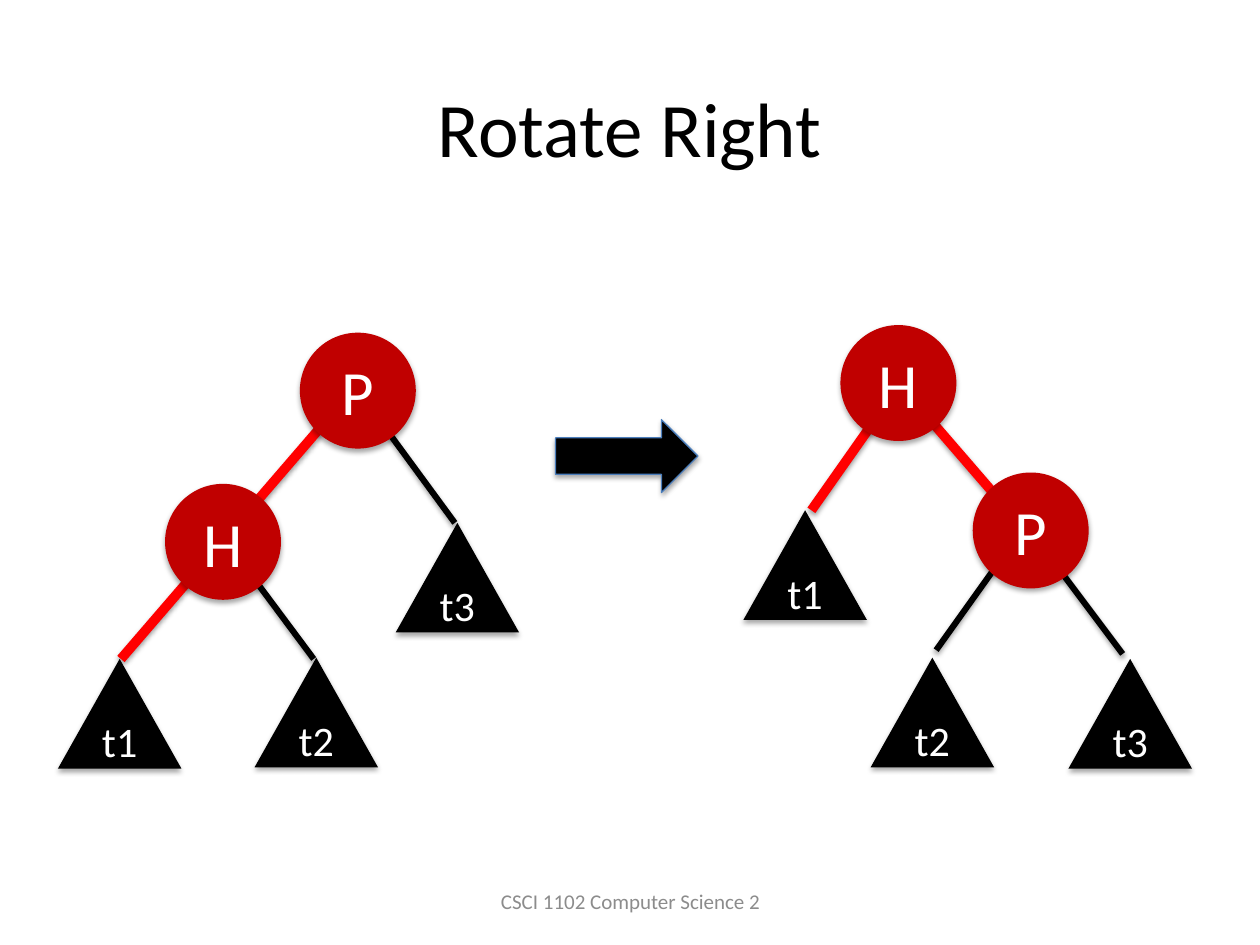
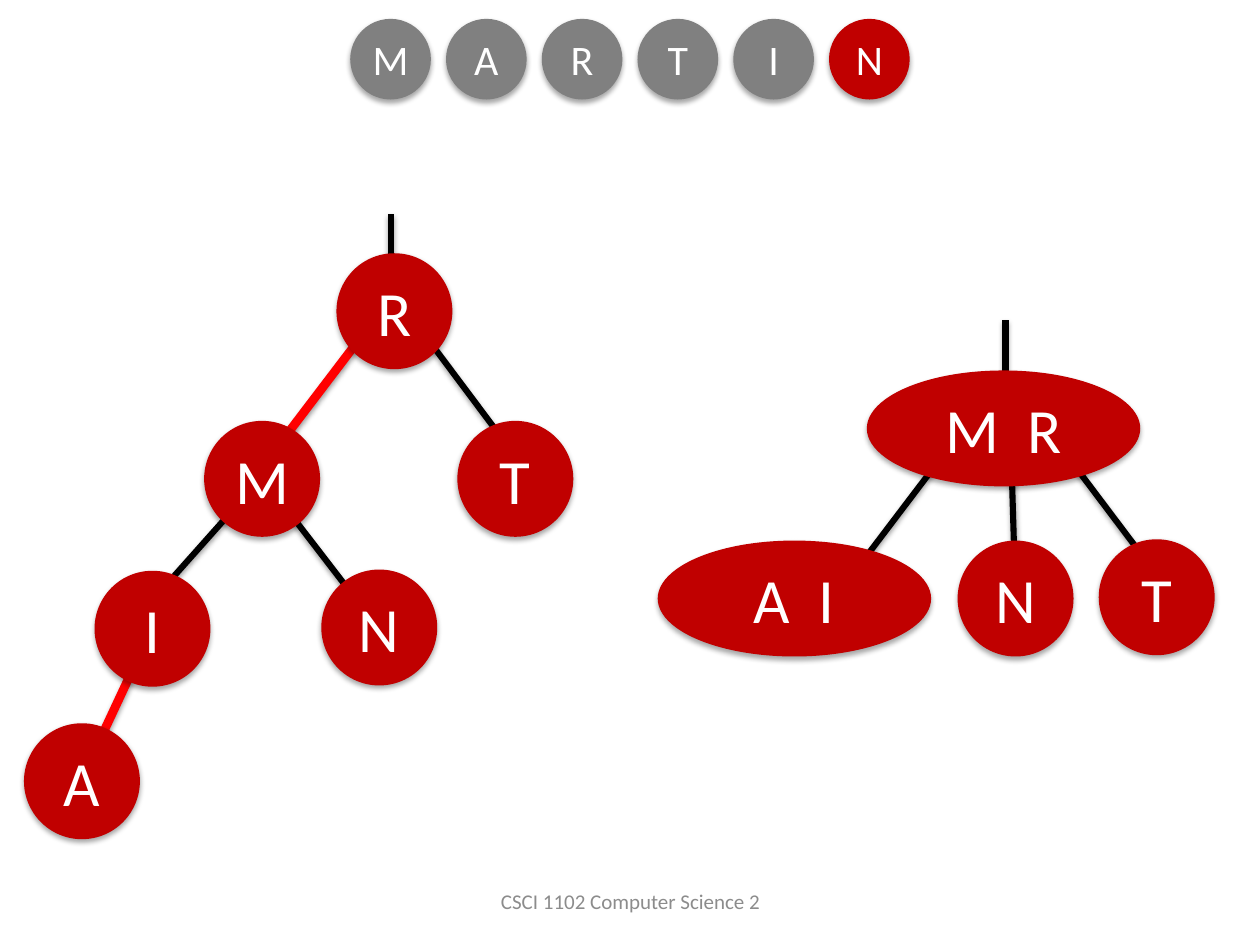
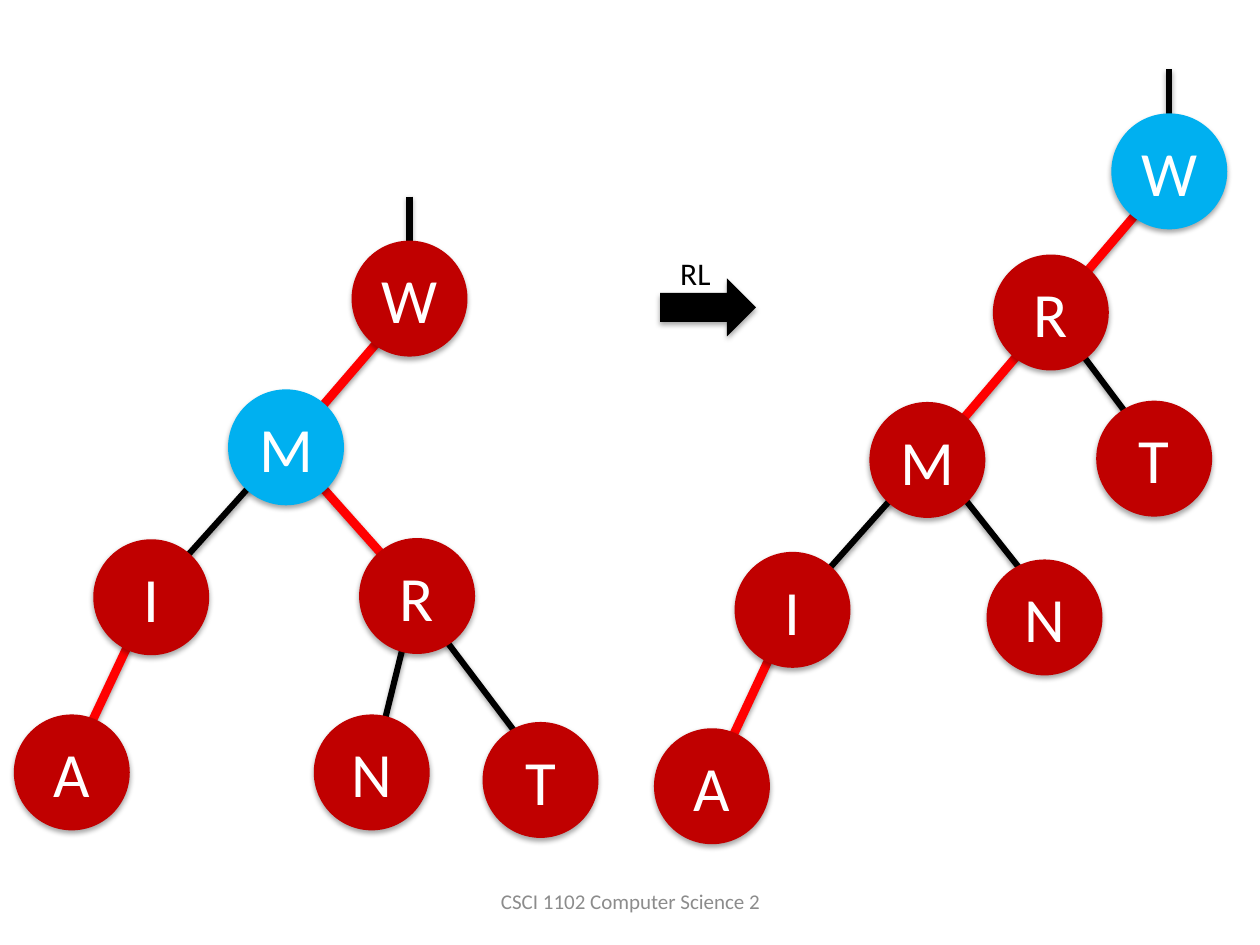
from lxml import etree
from pptx import Presentation
from pptx.dml.color import RGBColor
from pptx.enum import shapes, text
from pptx.oxml import ns
from pptx.util import Inches, Pt

BLACK = RGBColor(0x00, 0x00, 0x00)
WHITE = RGBColor(0xFF, 0xFF, 0xFF)
NODE = RGBColor(0xC0, 0x00, 0x00)
HOT = RGBColor(0x00, 0xB0, 0xF0)
DONE = RGBColor(0x80, 0x80, 0x80)
LINK = RGBColor(0xFF, 0x00, 0x00)
RIM = RGBColor(0x4B, 0x7E, 0xBC)
FOOT = RGBColor(0x8C, 0x8C, 0x8C)

FONT = "Calibri"
KIND = shapes.MSO_SHAPE
DISC = 0.92
PAIR = 2.17


# Shared parts
def shade(item, alpha, dist):
    """Soft shadow straight below; call once fill and line are set."""
    cast = etree.SubElement(item._element.spPr, ns.qn("a:effectLst"))
    drop = etree.SubElement(cast, ns.qn("a:outerShdw"), blurRad=str(Pt(3.1)),
                            dist=str(Pt(dist)), dir="5400000", rotWithShape="0")
    tone = etree.SubElement(drop, ns.qn("a:srgbClr"), val=str(BLACK))
    etree.SubElement(tone, ns.qn("a:alpha"), val=str(alpha * 1000))


def write(frame, words, size, color, align=text.PP_ALIGN.CENTER):
    frame.text = words
    para = frame.paragraphs[0]
    para.alignment = align
    para.font.name = FONT
    para.font.size = Pt(size)
    para.font.color.rgb = color


def solid(group, kind, box, fill, rim=None):
    item = group.shapes.add_shape(kind, *map(Inches, box))
    item.fill.solid()
    item.fill.fore_color.rgb = fill
    if rim is None:
        item.line.fill.background()
    else:
        item.line.color.rgb = rim
        item.line.width = Pt(0.75)
    shade(item, 35, 1.8)
    return item


def label(group, kind, box, fill, words, size):
    frame = solid(group, kind, box, fill).text_frame
    frame.word_wrap = False
    frame.vertical_anchor = text.MSO_ANCHOR.MIDDLE
    write(frame, words, size, WHITE)


def edge(group, ends, color, width):
    line = group.shapes.add_connector(shapes.MSO_CONNECTOR.STRAIGHT,
                                      *map(Inches, ends))
    line.line.color.rgb = color
    line.line.width = Pt(width)
    shade(line, 38, 1.6)


def footer(slide):
    frame = slide.shapes.add_textbox(Inches(3.42), Inches(6.95),
                                     Inches(3.17), Inches(0.4)).text_frame
    frame.word_wrap = True
    frame.vertical_anchor = text.MSO_ANCHOR.MIDDLE
    write(frame, "CSCI 1102 Computer Science 2", 12, FOOT)


def start(deck, title=None):
    slide = deck.slides.add_slide(deck.slide_layouts[5 if title else 6])
    if title:
        head = slide.shapes.title
        head.left, head.top = Inches(0.5), Inches(0.38)
        head.width, head.height = Inches(9), Inches(1.25)
        head.text_frame.vertical_anchor = text.MSO_ANCHOR.MIDDLE
        write(head.text_frame, title, 44, BLACK)
    footer(slide)
    return slide


# Regions
def tree(slide, left, top, black, red, nodes, hot=None, thick=5):
    """Edges and nodes are placed relative to (left, top)."""
    group = slide.shapes.add_group_shape()
    for ends, color, width in ([(e, BLACK, 3.5) for e in black]
                               + [(e, LINK, thick) for e in red]):
        x1, y1, x2, y2 = ends
        edge(group, (left + x1, top + y1, left + x2, top + y2), color, width)
    for name, x, y in nodes:
        spot = left + x, top + y
        if name.startswith("t"):
            label(group, KIND.ISOSCELES_TRIANGLE, (*spot, 0.98, 0.87),
                  BLACK, name, 24)
        else:
            wide = PAIR if len(name) > 1 else DISC
            label(group, KIND.OVAL, (*spot, wide, DISC),
                  HOT if name == hot else NODE, name, 36)


def letters(slide, left, top, word):
    """Row of inserted keys, with the newest one in red."""
    group = slide.shapes.add_group_shape()
    for i, key in enumerate(word):
        fill = NODE if i == len(word) - 1 else DONE
        label(group, KIND.OVAL, (left + 0.76 * i, top, 0.64, 0.64),
              fill, key, 24)


def step(slide, left, top, name):
    """Small arrow under the name of the rotation."""
    group = slide.shapes.add_group_shape()
    solid(group, KIND.RIGHT_ARROW, (left, top + 0.24, 0.76, 0.46), BLACK)
    frame = group.shapes.add_textbox(Inches(left + 0.06), Inches(top),
                                     Inches(0.45), Inches(0.4)).text_frame
    frame.word_wrap = False
    write(frame, name, 18, BLACK, text.PP_ALIGN.LEFT)


# Slides
def rotate(deck):
    slide = start(deck, "Rotate Right")
    tree(slide, 0.46, 2.64,
         black=[(1.33, 1.65, 2.03, 2.59), (2.38, 0.46, 3.15, 1.51)],
         red=[(2.37, 0.42, 0.5, 2.59)],
         nodes=[("P", 1.92, 0), ("H", 0.85, 1.2), ("t3", 2.68, 1.51),
                ("t2", 1.56, 2.58), ("t1", 0, 2.59)],
         thick=5.5)
    tree(slide, 5.9, 2.58,
         black=[(2.35, 1.73, 3.01, 2.61), (2.23, 1.6, 1.53, 2.58)],
         red=[(1.23, 0.46, 2.31, 1.71), (1.23, 0.49, 0.54, 1.47)],
         nodes=[("P", 1.82, 1.17), ("H", 0.77, 0), ("t3", 2.58, 2.65),
                ("t2", 1.01, 2.64), ("t1", 0, 1.47)],
         thick=5.5)
    solid(slide, KIND.RIGHT_ARROW, (4.41, 3.33, 1.13, 0.58), BLACK, RIM)


def insert(deck):
    slide = start(deck)
    letters(slide, 2.78, 0.15, "MARTIN")
    tree(slide, 0.19, 1.7,
         black=[(3.99, 2.04, 2.89, 0.57), (1.9, 2.1, 2.8, 3.27),
                (0.82, 3.29, 1.87, 2.11), (2.91, 0, 2.91, 0.56)],
         red=[(0.37, 4.67, 1.02, 3.28), (2.9, 0.68, 1.85, 2.06)],
         nodes=[("T", 3.44, 1.64), ("M", 1.43, 1.64), ("I", 0.56, 2.83),
                ("R", 2.48, 0.31), ("N", 2.36, 2.82), ("A", 0, 4.04)])
    tree(slide, 5.22, 2.54,
         black=[(4.05, 2.14, 2.95, 0.68), (2.8, 0.87, 2.84, 2.2),
                (2.48, 0.79, 1.44, 2.16), (2.76, 0, 2.76, 0.56)],
         red=[],
         nodes=[("T", 3.5, 1.74), ("M  R", 1.66, 0.4), ("N", 2.38, 1.75),
                ("A  I", 0, 1.75)])


def balance(deck):
    slide = start(deck)
    step(slide, 5.24, 1.97, "RL")
    tree(slide, 0.11, 1.56,
         black=[(4.25, 4.61, 3.14, 3.14), (2.77, 4.86, 3.17, 3.24),
                (1.09, 3.17, 2.15, 1.99), (3.14, 0, 3.14, 0.57)],
         red=[(2.15, 2.01, 3.2, 0.79), (0.44, 4.55, 1.09, 3.17),
              (3.18, 3.13, 2.12, 1.94)],
         nodes=[("T", 3.72, 4.17), ("M", 1.7, 1.53), ("I", 0.63, 2.72),
                ("R", 2.74, 2.71), ("N", 2.38, 4.11), ("A", 0, 4.11),
                ("W", 2.68, 0.35)],
         hot="M")
    tree(slide, 5.19, 0.55,
         black=[(3.21, 4.35, 2.19, 3.06), (4.09, 0, 4.09, 0.56),
                (4.01, 3.08, 2.91, 1.61), (1.1, 4.29, 2.15, 3.11)],
         red=[(3.1, 2, 4.14, 0.78), (2.16, 3.12, 3.2, 1.9),
              (0.45, 5.67, 1.1, 4.28)],
         nodes=[("W", 3.63, 0.35), ("T", 3.51, 2.63), ("M", 1.71, 2.64),
                ("I", 0.64, 3.83), ("N", 2.64, 3.89), ("A", 0, 5.23),
                ("R", 2.69, 1.47)],
         hot="W")


def main():
    deck = Presentation()
    deck.slide_width, deck.slide_height = Inches(10), Inches(7.5)
    for build in (rotate, insert, balance):
        build(deck)
    deck.save("out.pptx")


if __name__ == "__main__":
    main()
